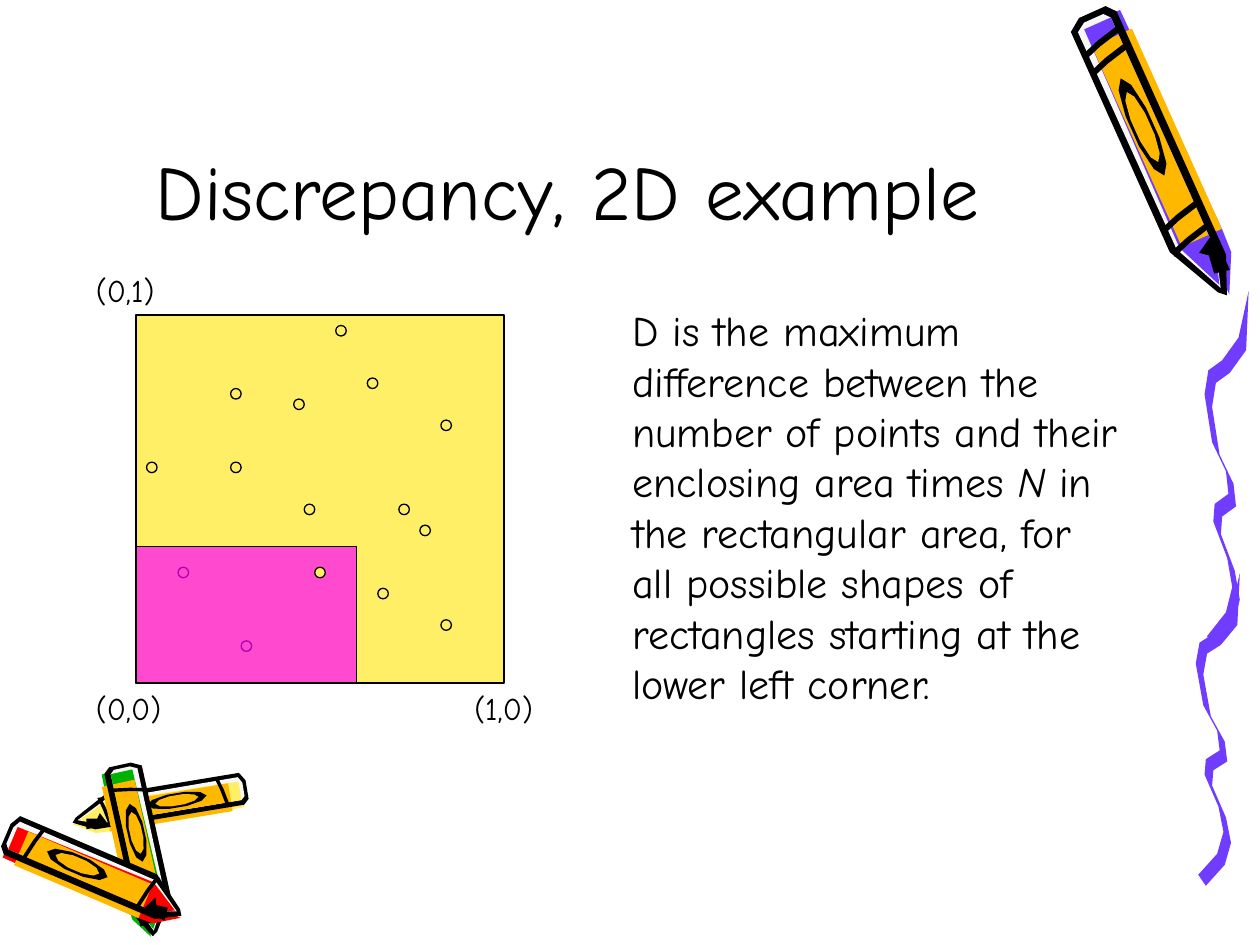
from dataclasses import dataclass
from math import cos, hypot, pi, sin

from pptx import Presentation
from pptx.dml.color import RGBColor
from pptx.enum.shapes import MSO_SHAPE
from pptx.enum.text import MSO_ANCHOR, PP_ALIGN
from pptx.oxml.ns import qn
from pptx.util import Inches, Pt

RECTANGLE, OVAL = MSO_SHAPE.RECTANGLE, MSO_SHAPE.OVAL
TOP, BOTTOM = MSO_ANCHOR.TOP, MSO_ANCHOR.BOTTOM
LEFT, CENTER = PP_ALIGN.LEFT, PP_ALIGN.CENTER


@dataclass(frozen=True)
class Theme:
    font: str = "Comic Neue"
    black: str = "000000"
    highlight: str = "F8F8F8"
    violet: str = "703DFF"
    orange: str = "FFB800"
    yellow: str = "FFEF66"
    red: str = "FF0000"
    green: str = "00B200"
    magenta: str = "FF00FF"
    title: int = 44
    body: int = 24
    label: int = 18
    outline: float = 0.75


@dataclass(frozen=True)
class Box:
    left: float
    top: float
    width: float
    height: float

    def emu(self):
        return [Inches(v) for v in (self.left, self.top, self.width, self.height)]


@dataclass(frozen=True)
class Crayon:
    base: tuple
    tip: tuple
    width: float
    wax: str
    bands: tuple
    colored_side: int


THEME = Theme()

GRID_STEPS = 35
POINTS = [(9, 7), (15, 8), (16, 18), (22, 6), (9, 14), (23, 26), (25, 18), (27, 20),
          (29, 29), (10, 31), (29, 10), (19, 1), (1, 14), (4, 24)]
POINT_ON_TOP = (17, 24)
INNER_COLUMNS, INNER_ROWS = 21, 13

LARGE_CRAYON = Crayon((0.66, 0.1), (1.68, 2.37), 0.42, THEME.violet, (0.09, 0.15, 0.7, 0.78), 1)
PILED_CRAYONS = [
    Crayon((1.96, 0.26), (0.57, 0.49), 0.27, THEME.yellow, (0.13, 0.8), 1),
    Crayon((0.96, 0.07), (1.26, 1.42), 0.32, THEME.green, (0.14, 0.8), -1),
    Crayon((0.05, 0.62), (1.46, 1.22), 0.35, THEME.red, (0.14, 0.78), -1),
]
CAP_END, SHOULDER = 0.1, 0.8
LABEL_MIDDLE, LABEL_LENGTH, LABEL_WIDTH, LABEL_SIDES = 0.4, 0.34, 0.44, 10

SQUIGGLE_HEIGHT = 2.84
SQUIGGLE_BENDS = [(0.3, 0.42), (0.17, 0.6), (0.06, 0.68), (0.03, 0.87), (0.09, 1.25),
                  (0.2, 1.48), (0.22, 1.66), (0.11, 1.74), (0.1, 1.88), (0.21, 2.17),
                  (0.25, 2.4), (0.2, 2.6), (0.05, 2.79)]
SQUIGGLE_NIB = (0.03, 0.05)


def color(code):
    return RGBColor.from_string(code)


def add_polygon(slide, corners, fill):
    start, *rest = [(Inches(x), Inches(y)) for x, y in corners]
    builder = slide.shapes.build_freeform(*start)
    builder.add_line_segments(rest, close=True)
    patch = builder.convert_to_shape()
    patch.shadow.inherit = False
    patch.fill.solid()
    patch.fill.fore_color.rgb = color(fill)
    patch.line.fill.background()


def slab(start, end, low, high):
    return [(start, low), (end, low), (end, high), (start, high)]


def curved_band(middle, thickness=0.02, bow=0.02):
    stops = [(middle + bow, -0.45), (middle, -0.1), (middle - bow, 0.4)]
    return stops + [(along + thickness, across) for along, across in reversed(stops)]


def label_oval(scale):
    turns = [2 * pi * side / LABEL_SIDES for side in range(LABEL_SIDES)]
    return [(LABEL_MIDDLE + scale * LABEL_LENGTH / 2 * cos(turn),
             scale * LABEL_WIDTH / 2 * sin(turn)) for turn in turns]


def crayon_parts(wax, bands):
    misprinted_wax = [(0.03, 0), (0.03, 0.52), (SHOULDER, 0.58), (0.88, 0.56), (1, 0.2)]
    silhouette = [(0.03, -0.5), (0, -0.25), (0, 0.3), (0.03, 0.45), (0.88, 0.45),
                  (1, 0.15), (0.98, 0.02), (SHOULDER, -0.5)]
    hollow = [(0.04, -0.38), (0.02, -0.2), (0.02, 0.2), (0.04, 0.3), (0.86, 0.3),
              (0.97, 0.1), (SHOULDER, -0.36)]
    wax_core = [(0.04, -0.25), (0.04, 0.3), (0.86, 0.3), (0.96, 0.1), (SHOULDER, -0.3)]
    tip_shade = [(SHOULDER, 0.4), (0.84, 0), (0.86, 0.15), (0.92, 0.1), (0.93, 0.4)]
    return [
        (wax, misprinted_wax),
        (THEME.orange, slab(CAP_END, SHOULDER, 0, 0.58)),
        (THEME.black, silhouette),
        (THEME.highlight, hollow),
        (wax, wax_core),
        (THEME.orange, slab(CAP_END, SHOULDER, -0.25, 0.3)),
        *[(THEME.black, curved_band(band)) for band in bands],
        (THEME.black, label_oval(1)),
        (THEME.orange, label_oval(0.72)),
        (THEME.black, tip_shade),
    ]


def add_crayon(slide, box, crayon):
    (base_x, base_y), (tip_x, tip_y) = crayon.base, crayon.tip
    run, rise = tip_x - base_x, tip_y - base_y
    sideways = crayon.colored_side * crayon.width / hypot(run, rise)

    def place(along, across):
        return (box.left + base_x + along * run + across * sideways * rise,
                box.top + base_y + along * rise - across * sideways * run)

    for fill, part in crayon_parts(crayon.wax, crayon.bands):
        add_polygon(slide, [place(*corner) for corner in part], fill)


def add_crayon_pile(slide, box):
    for crayon in PILED_CRAYONS:
        add_crayon(slide, box, crayon)


def add_squiggle(slide, box):
    nib_x, nib_y = SQUIGGLE_NIB
    near_edge = [(x - nib_x, y - nib_y) for x, y in SQUIGGLE_BENDS]
    far_edge = [(x + nib_x, y + nib_y) for x, y in reversed(SQUIGGLE_BENDS)]
    stretch = box.height / SQUIGGLE_HEIGHT
    ribbon = [(box.width, 0)] + near_edge + far_edge
    add_polygon(slide, [(box.left + x, box.top + y * stretch) for x, y in ribbon], THEME.violet)


def add_text(slide, box, runs, size, align=LEFT, anchor=TOP):
    frame = slide.shapes.add_textbox(*box.emu()).text_frame
    for name, value in {"word_wrap": True, "vertical_anchor": anchor}.items():
        setattr(frame, name, value)
    paragraph = frame.paragraphs[0]
    paragraph.alignment = align
    for text, italic in runs:
        run = paragraph.add_run()
        run.text = text
        for name, value in {"name": THEME.font, "size": Pt(size), "italic": italic}.items():
            setattr(run.font, name, value)
        run.font.color.rgb = color(THEME.black)


def add_mark(slide, kind, box, fill, opacity=100):
    mark = slide.shapes.add_shape(kind, *box.emu())
    mark.shadow.inherit = False
    mark.fill.solid()
    mark.fill.fore_color.rgb = color(fill)
    mark.line.color.rgb = color(THEME.black)
    mark.line.width = Pt(THEME.outline)
    if opacity < 100:
        tint = mark._element.spPr.find(qn("a:solidFill")).find(qn("a:srgbClr"))
        tint.append(tint.makeelement(qn("a:alpha"), {"val": str(opacity * 1000)}))


def add_plot(slide, box):
    step = box.width / GRID_STEPS

    def cells(column, row, columns=1, rows=1):
        return Box(box.left + column * step, box.top + row * step, columns * step, rows * step)

    add_mark(slide, RECTANGLE, box, THEME.yellow)
    for point in POINTS:
        add_mark(slide, OVAL, cells(*point), THEME.yellow)
    inner = cells(0, GRID_STEPS - INNER_ROWS, INNER_COLUMNS, INNER_ROWS)
    add_mark(slide, RECTANGLE, inner, THEME.magenta, 69)
    add_mark(slide, OVAL, cells(*POINT_ON_TOP), THEME.yellow)

    label_height = 0.4
    below, above = box.top + box.height, box.top - label_height
    for text, column, top, width in [("(0,0)", -5, below, 1), ("(1,0)", 31, below, 0.75),
                                     ("(0,1)", -5, above, 0.75)]:
        corner = Box(box.left + column * step, top, width, label_height)
        add_text(slide, corner, [(text, False)], THEME.label)


def add_definition(slide, box):
    add_text(slide, box, [
        ("D is the maximum difference between the number of points and their enclosing area times ", False),
        ("N", True),
        (" in the rectangular area, for all possible shapes of rectangles starting at the lower left corner.",
         False),
    ], THEME.body)


def add_title(slide, box):
    add_text(slide, box, [("Discrepancy, 2D example", False)], THEME.title, CENTER, BOTTOM)


def main():
    deck = Presentation()
    deck.slide_width, deck.slide_height = Inches(10), Inches(7.5)
    slide = deck.slides.add_slide(deck.slide_layouts[6])
    add_crayon_pile(slide, Box(0, 6, 2, 1.5))
    add_squiggle(slide, Box(9.49, 4.55, 0.35, 2.48))
    add_squiggle(slide, Box(9.56, 2.31, 0.35, 2.84))
    add_crayon(slide, Box(8, 0, 2, 2.5), LARGE_CRAYON)
    add_title(slide, Box(0.75, 0.17, 7.51, 1.75))
    add_plot(slide, Box(1.08, 2.5, 2.92, 2.92))
    add_definition(slide, Box(4.92, 2.37, 4.08, 3.3))
    deck.save("out.pptx")


if __name__ == "__main__":
    main()
